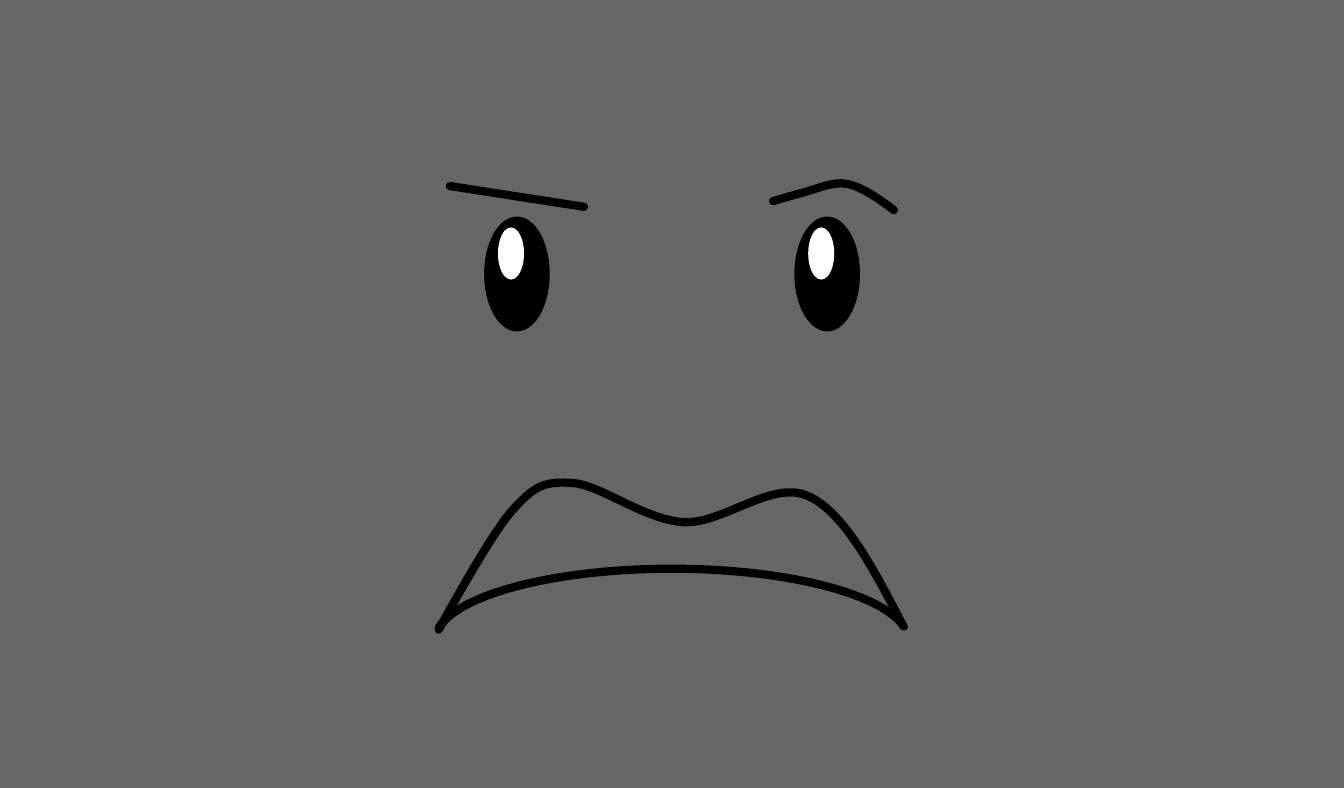
from lxml.etree import SubElement
from pptx import Presentation
from pptx.dml.color import RGBColor
from pptx.enum.shapes import MSO_CONNECTOR, MSO_SHAPE
from pptx.oxml.ns import qn
from pptx.util import Pt

COLORS = {"background": "666666", "ink": "000000", "glint": "FFFFFF"}
STROKE = 4.5

EYE_LEFTS = [435.8, 265.6]
EYE_TOP, EYE_SIZE = 118.7, (36, 63)
GLINT_OFFSET, GLINT_SIZE = (7.6, 6), (14.3, 28.6)

LEFT_BROW = [(320.4, 113.4), (246.8, 102)]
RIGHT_BROW = [
    (490.4, 115.2),
    (481.7, 108.7), (472.3, 102.2), (464.4, 100.8),
    (456.5, 99.4), (447.8, 103.7), (440.6, 105.6),
    (433.9, 107.4), (424.1, 110.3), (424.1, 110.3),
]
UPPER_LIP = [
    (495.6, 343.3),
    (479.5, 312.5), (463.7, 281.5), (443.7, 272.1),
    (423.7, 262.7), (396.9, 287.3), (375.3, 286.3),
    (353.7, 285.1), (329.8, 265.9), (314.1, 264.8),
    (298.3, 263.7), (293.2, 266.4), (281, 279.9),
    (268.8, 293.4), (240.7, 345.2), (240.7, 345.2),
]
LOWER_LIP = (238.5, 311.8, 259.9, 79.2)
LOWER_LIP_ANGLES = (109.894, 213.877)


def color(name):
    return RGBColor.from_string(COLORS[name])


def add_oval(group, left, top, size, fill):
    oval = group.shapes.add_shape(
        MSO_SHAPE.OVAL, Pt(left), Pt(top), Pt(size[0]), Pt(size[1]))
    oval.shadow.inherit = False
    oval.fill.solid()
    oval.fill.fore_color.rgb = color(fill)
    oval.line.fill.background()


def ink_line(shape):
    shape.line.color.rgb = color("ink")
    shape.line.width = Pt(STROKE)
    outline = shape._element.spPr.find(qn("a:ln"))
    outline.set("cap", "rnd")
    SubElement(outline, qn("a:round"))


def ink_shape(shape):
    shape.shadow.inherit = False
    shape.fill.background()
    ink_line(shape)


def add_curve(group, nodes):
    nodes = [(Pt(x), Pt(y)) for x, y in nodes]
    anchors = nodes[::3]
    left, top = (min(values) for values in zip(*anchors))
    builder = group.shapes.build_freeform(*nodes[0])
    builder.add_line_segments(anchors[1:], close=False)
    curve = builder.convert_to_shape()
    outline = curve._element.spPr.find(".//" + qn("a:path"))
    for segment in outline.findall(qn("a:lnTo")):
        outline.remove(segment)
    for i in range(1, len(nodes), 3):
        bezier = SubElement(outline, qn("a:cubicBezTo"))
        for x, y in nodes[i:i + 3]:
            SubElement(bezier, qn("a:pt"), x=str(x - left), y=str(y - top))
    ink_shape(curve)


deck = Presentation()
deck.slide_width, deck.slide_height = Pt(737.28), Pt(432)
page = deck.slides.add_slide(deck.slide_layouts[6])
page.background.fill.solid()
page.background.fill.fore_color.rgb = color("background")

eyes, brows, mouth = [page.shapes.add_group_shape() for _ in range(3)]

for left in EYE_LEFTS:
    add_oval(eyes, left, EYE_TOP, EYE_SIZE, "ink")
    add_oval(eyes, left + GLINT_OFFSET[0], EYE_TOP + GLINT_OFFSET[1],
             GLINT_SIZE, "glint")

add_curve(brows, RIGHT_BROW)
left_brow = brows.shapes.add_connector(
    MSO_CONNECTOR.STRAIGHT, *[Pt(v) for point in LEFT_BROW for v in point])
ink_line(left_brow)
SubElement(left_brow._element.spPr, qn("a:effectLst"))

lower_lip = mouth.shapes.add_shape(MSO_SHAPE.ARC, *[Pt(v) for v in LOWER_LIP])
for i, angle in enumerate(LOWER_LIP_ANGLES):
    lower_lip.adjustments[i] = angle
ink_shape(lower_lip)
add_curve(mouth, UPPER_LIP)

deck.save("out.pptx")
